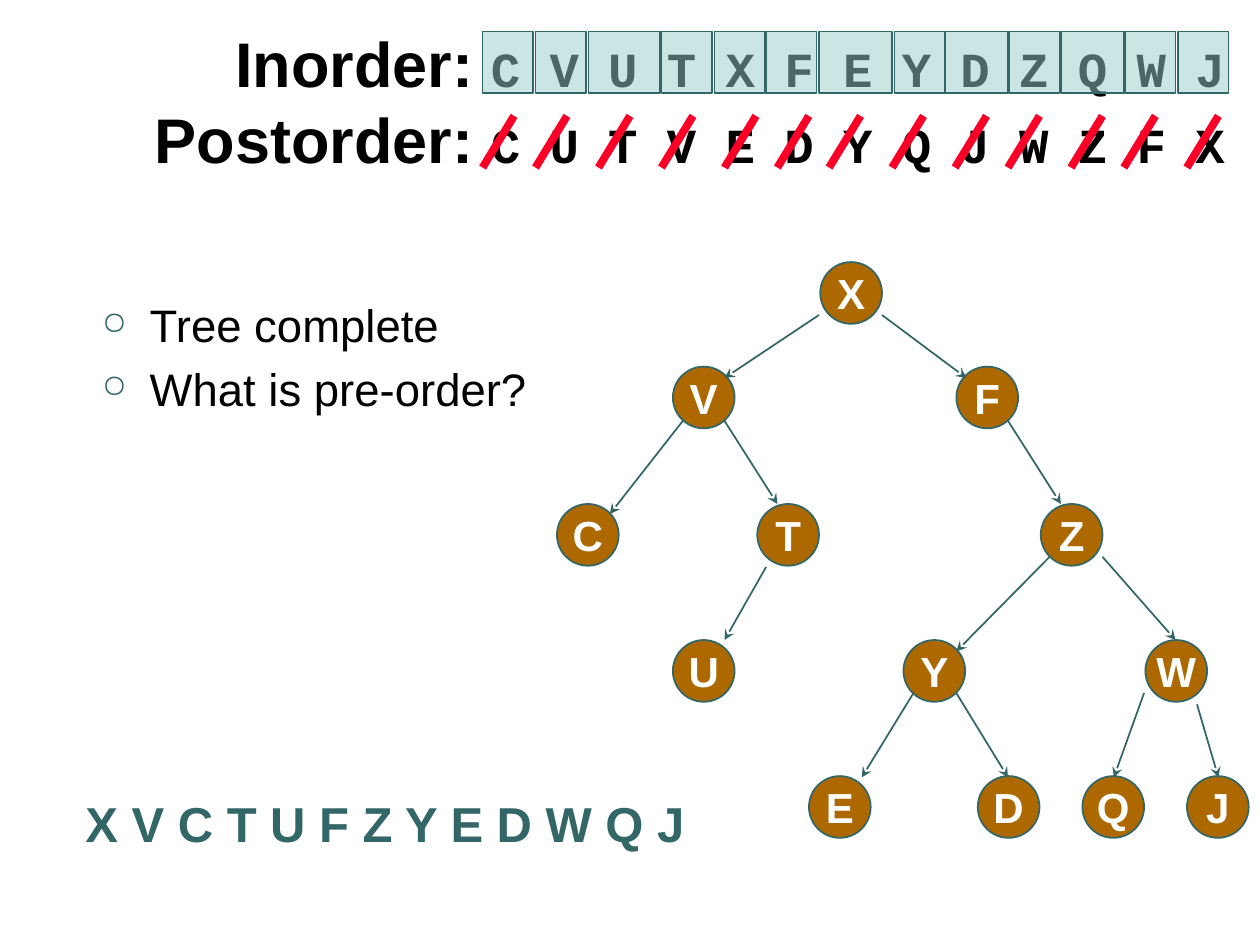
from dataclasses import dataclass

from lxml.etree import SubElement
from pptx import Presentation
from pptx.dml.color import RGBColor
from pptx.enum.shapes import MSO_CONNECTOR as Connector, MSO_SHAPE as Shape
from pptx.enum.text import MSO_ANCHOR as Anchor, PP_ALIGN as Align
from pptx.oxml.ns import qn
from pptx.util import Inches, Pt


@dataclass(frozen=True)
class Theme:
    sans: str = "Arial"
    mono: str = "Courier New"
    black: str = "000000"
    white: str = "FFFFFF"
    teal: str = "336666"
    pale_teal: str = "99CCCC"
    brown: str = "AD6900"
    red: str = "FC0128"
    title_size: int = 36
    sequence_size: int = 28
    bullet_size: int = 26
    node_size: int = 24
    thin: float = 1
    thick: float = 4.5


THEME = Theme()
NODE_SIZE = 0.49
CELL_TOP, CELL_HEIGHT = 0.25, 0.49
STRIKE_BOTTOM, STRIKE_TOP, STRIKE_RUN = 1.33, 0.92, 0.25

INORDER = "C V U T X F E Y D Z Q W J"
POSTORDER = "C U T V E D Y Q J W Z F X"
PREORDER = "X V C T U F Z Y E D W Q J"

# Top of each tree level, with the left of every node on it
LEVELS = [
    (2.08, {"X": 6.51}),
    (2.91, {"V": 5.34, "F": 7.59}),
    (4.00, {"C": 4.42, "T": 6.01, "Z": 8.26}),
    (5.08, {"U": 5.34, "Y": 7.17, "W": 9.09}),
    (6.16, {"E": 6.42, "D": 7.76, "Q": 8.59, "J": 9.42}),
]
# Start and end of the arrow from parent to child
EDGES = [
    (6.50, 2.50, 5.75, 3.00),  # X to V
    (7.00, 2.50, 7.67, 3.00),  # X to F
    (5.42, 3.34, 4.84, 4.08),  # V to C
    (5.75, 3.34, 6.17, 4.00),  # V to T
    (8.00, 3.34, 8.42, 4.00),  # F to Z
    (6.08, 4.50, 5.75, 5.08),  # T to U
    (8.33, 4.42, 7.59, 5.17),  # Z to Y
    (8.75, 4.42, 9.33, 5.08),  # Z to W
    (7.25, 5.50, 6.84, 6.17),  # Y to E
    (7.59, 5.50, 8.00, 6.17),  # Y to D
    (9.08, 5.50, 8.84, 6.17),  # W to Q
    (9.50, 5.59, 9.67, 6.17),  # W to J
]
# Left and width of the cell over each inorder letter
CELLS = [
    (3.83, 0.4), (4.25, 0.4), (4.67, 0.57), (5.25, 0.4), (5.67, 0.4),
    (6.08, 0.4), (6.5, 0.58), (7.1, 0.4), (7.5, 0.5), (8.01, 0.4),
    (8.42, 0.5), (8.93, 0.4), (9.35, 0.4),
]
STRIKES = [3.83, 4.25, 4.75, 5.25, 5.75, 6.17, 6.58,
           7.08, 7.58, 8, 8.5, 8.92, 9.42]


def color(value):
    return RGBColor.from_string(value)


def add_run(paragraph, text, size, ink, font=THEME.sans, bold=True):
    run = paragraph.add_run()
    run.text = text
    formats = {"name": font, "size": Pt(size), "bold": bold}
    for name, value in formats.items():
        setattr(run.font, name, value)
    run.font.color.rgb = color(ink)


def add_text_box(slide, left, top, width, height):
    box = slide.shapes.add_textbox(*map(Inches, (left, top, width, height)))
    box.text_frame.word_wrap = True
    return box.text_frame


def add_shape(slide, kind, left, top, width, height, fill):
    shape = slide.shapes.add_shape(kind, *map(Inches, (left, top, width, height)))
    shape.shadow.inherit = False
    shape.fill.solid()
    shape.fill.fore_color.rgb = color(fill)
    shape.line.color.rgb = color(THEME.teal)
    shape.line.width = Pt(THEME.thin)
    return shape


def add_line(slide, points, ink, width):
    line = slide.shapes.add_connector(Connector.STRAIGHT, *map(Inches, points))
    line.line.color.rgb = color(ink)
    line.line.width = Pt(width)
    SubElement(line._element.spPr, qn("a:effectLst"))
    return line


def add_arrow(slide, points):
    arrow = add_line(slide, points, THEME.teal, THEME.thin)
    SubElement(arrow.line._get_or_add_ln(), qn("a:tailEnd"), type="stealth")


def add_node(slide, label, left, top):
    node = add_shape(slide, Shape.OVAL, left, top, NODE_SIZE, NODE_SIZE, THEME.brown)
    frame = node.text_frame
    formats = {"margin_left": 0, "margin_right": 0, "margin_top": 0,
               "margin_bottom": 0, "word_wrap": False,
               "vertical_anchor": Anchor.MIDDLE}
    for name, value in formats.items():
        setattr(frame, name, value)
    paragraph = frame.paragraphs[0]
    paragraph.alignment = Align.CENTER
    add_run(paragraph, label, THEME.node_size, THEME.white)


def add_cell(slide, left, width):
    """Add a half-transparent rectangle over one inorder letter."""
    cell = add_shape(slide, Shape.RECTANGLE, left, CELL_TOP, width, CELL_HEIGHT,
                     THEME.pale_teal)
    fill_color = cell._element.spPr.find(qn("a:solidFill"))[0]
    SubElement(fill_color, qn("a:alpha"), val="50000")


def set_hanging(paragraph, bullet=None):
    """Set a hanging indent, 20% space before and, if given, a bullet."""
    properties = paragraph._p.get_or_add_pPr()
    properties.set("marL", str(Inches(0.38)))
    properties.set("indent", str(-Inches(0.38)))
    before = SubElement(properties, qn("a:spcBef"))
    SubElement(before, qn("a:spcPct"), val="20000")
    if bullet:
        bullet_color = SubElement(properties, qn("a:buClr"))
        SubElement(bullet_color, qn("a:srgbClr"), val=THEME.teal)
        SubElement(properties, qn("a:buSzPct"), val="70000")
        SubElement(properties, qn("a:buChar"), char=bullet)


def add_title(slide):
    frame = add_text_box(slide, 0.42, 0.17, 9.4, 1.25)
    frame.vertical_anchor = Anchor.MIDDLE
    paragraph = frame.paragraphs[0]
    paragraph.alignment = Align.RIGHT
    add_run(paragraph, "Inorder: ", THEME.title_size, THEME.black)
    add_run(paragraph, INORDER, THEME.sequence_size, THEME.black, THEME.mono)
    paragraph.add_line_break()
    add_run(paragraph, "Postorder: ", THEME.title_size, THEME.black)
    add_run(paragraph, POSTORDER, THEME.sequence_size, THEME.black, THEME.mono)


def add_bullets(slide, items):
    frame = add_text_box(slide, 0.71, 2.31, 3.68, 1.05)
    for index, item in enumerate(items):
        paragraph = frame.add_paragraph() if index else frame.paragraphs[0]
        set_hanging(paragraph, "○")
        add_run(paragraph, item, THEME.bullet_size, THEME.black, bold=False)


def add_answer(slide):
    paragraph = add_text_box(slide, 0.58, 6.25, 5.33, 0.58).paragraphs[0]
    set_hanging(paragraph)
    add_run(paragraph, PREORDER, THEME.sequence_size, THEME.teal)


def main():
    presentation = Presentation()
    presentation.slide_width = Inches(10)
    presentation.slide_height = Inches(7.5)
    slide = presentation.slides.add_slide(presentation.slide_layouts[6])

    add_bullets(slide, ["Tree complete", "What is pre-order?"])
    for top, nodes in LEVELS:
        for label, left in nodes.items():
            add_node(slide, label, left, top)
    for points in EDGES:
        add_arrow(slide, points)
    add_title(slide)
    for left, width in CELLS:
        add_cell(slide, left, width)
    add_answer(slide)
    for left in STRIKES:
        points = (left, STRIKE_BOTTOM, left + STRIKE_RUN, STRIKE_TOP)
        add_line(slide, points, THEME.red, THEME.thick)

    presentation.save("out.pptx")


if __name__ == "__main__":
    main()
